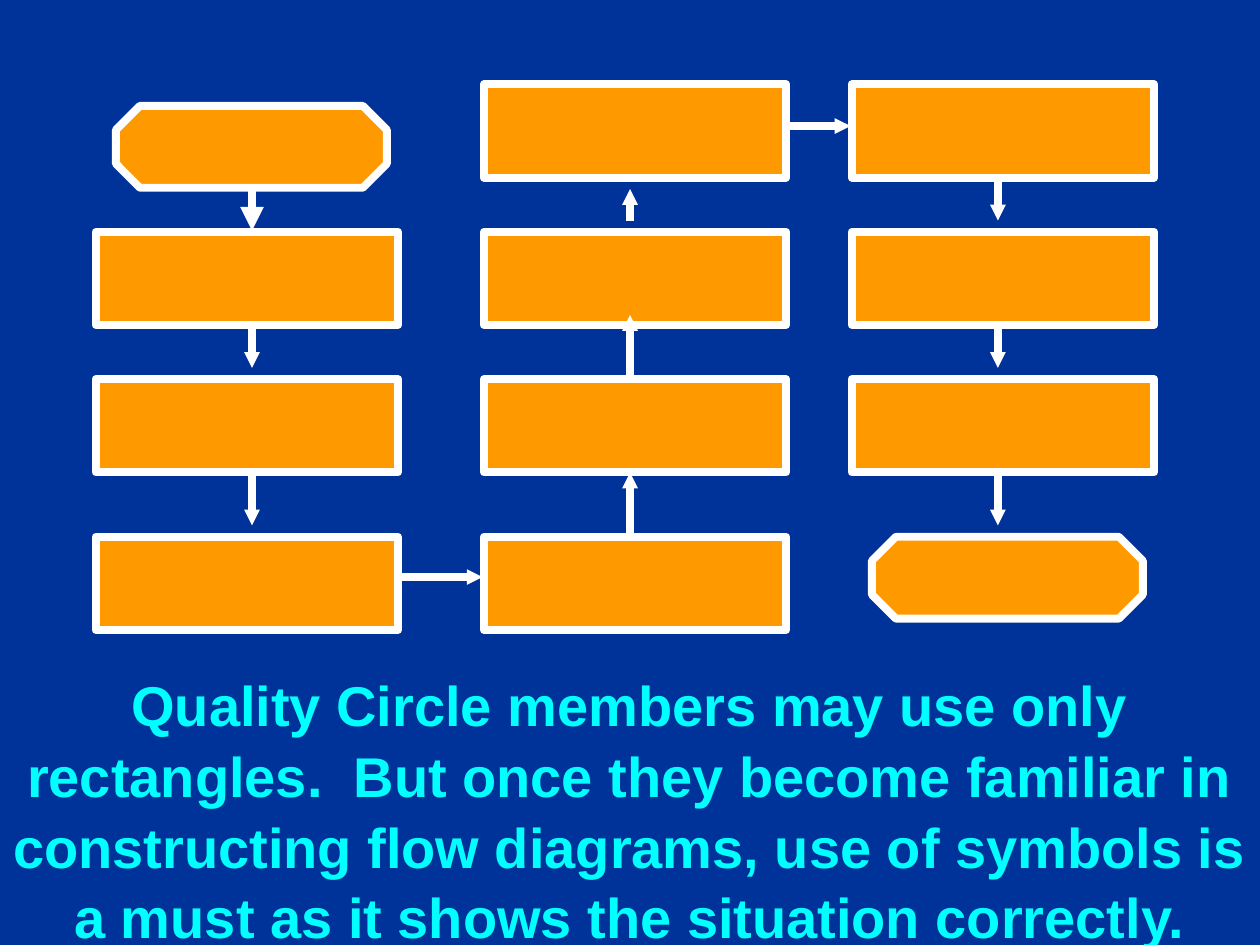
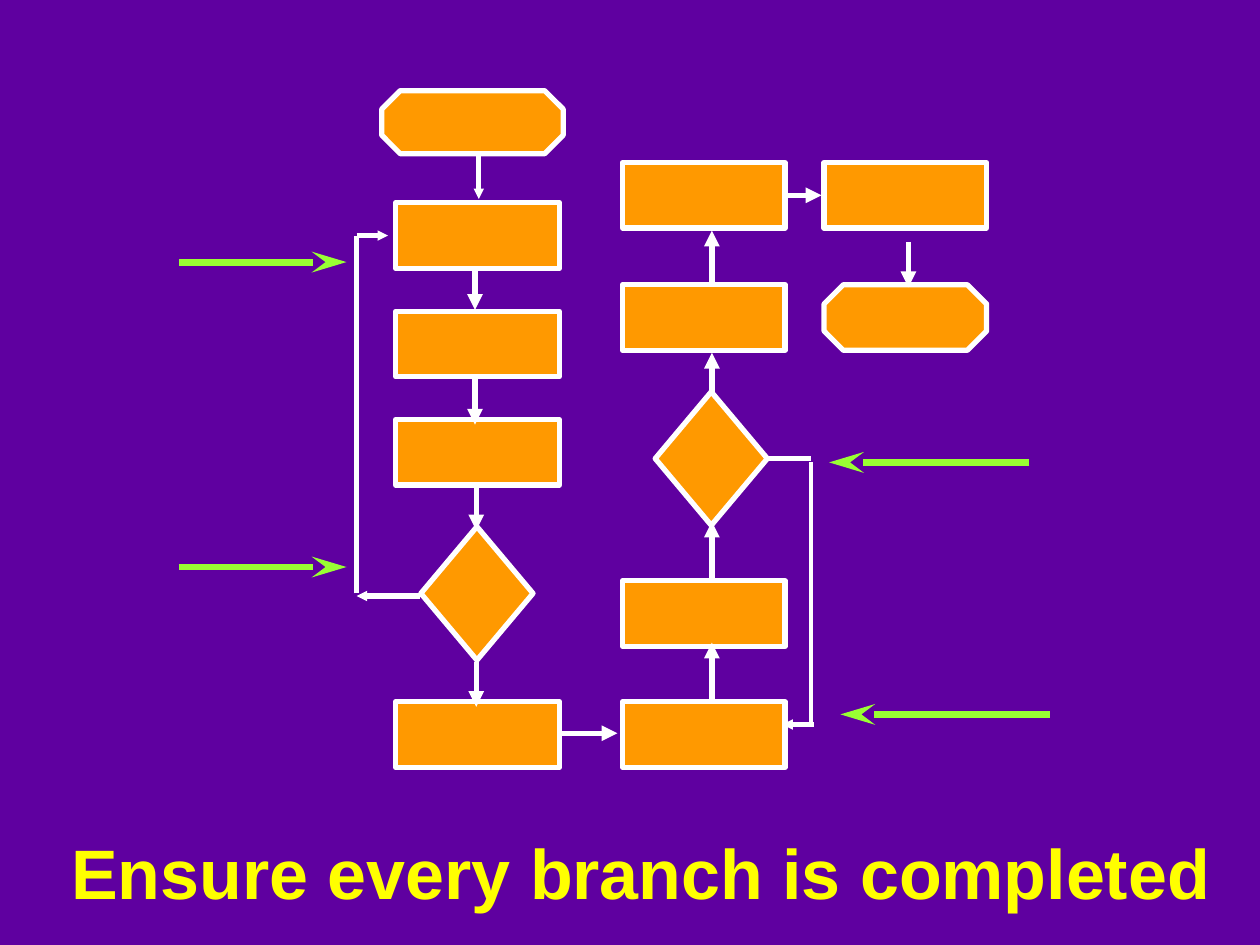
from lxml.etree import SubElement
from pptx import Presentation
from pptx.dml.color import RGBColor
from pptx.enum.shapes import MSO_CONNECTOR, MSO_SHAPE
from pptx.enum.text import PP_ALIGN
from pptx.oxml.ns import qn
from pptx.util import Inches, Pt

WHITE = "FFFFFF"
ORANGE = "FF9900"
LIME = "99FF33"


def rgb(value):
    return RGBColor.from_string(value)


def write_text(frame, text, *, size, color, font="Arial", bold=True,
               align=PP_ALIGN.CENTER, spacing=1.05):
    frame.word_wrap = True
    paragraph = frame.paragraphs[0]
    paragraph.alignment = align
    paragraph.line_spacing = spacing
    run = paragraph.add_run()
    run.text = text
    run.font.name = font
    run.font.size = Pt(size)
    run.font.bold = bold
    run.font.color.rgb = rgb(color)


class FlowChart:
    def __init__(self, deck, background, stroke):
        self.slide = deck.slides.add_slide(deck.slide_layouts[6])
        self.stroke = stroke
        fill = self.slide.background.fill
        fill.solid()
        fill.fore_color.rgb = rgb(background)

    def caption(self, text, left, top, width, height, **style):
        box = self.slide.shapes.add_textbox(
            Inches(left), Inches(top), Inches(width), Inches(height))
        write_text(box.text_frame, text, **style)

    def symbol(self, kind, left, top, width, height):
        shape = self.slide.shapes.add_shape(
            kind, Inches(left), Inches(top), Inches(width), Inches(height))
        shape.shadow.inherit = False
        shape.fill.solid()
        shape.fill.fore_color.rgb = rgb(ORANGE)
        shape.line.color.rgb = rgb(WHITE)
        shape.line.width = Pt(self.stroke)
        return shape

    def step(self, left, top, width, height):
        self.symbol(MSO_SHAPE.RECTANGLE, left, top, width, height)

    def decision(self, left, top):
        self.symbol(MSO_SHAPE.DIAMOND, left, top, 0.89, 1.06)

    def terminal(self, left, top, width, height):
        self.symbol(MSO_SHAPE.OCTAGON, left, top, width, height).adjustments[0] = 0.293

    def line(self, x1, y1, x2, y2, color=WHITE, stroke=None):
        connector = self.slide.shapes.add_connector(
            MSO_CONNECTOR.STRAIGHT, Inches(x1), Inches(y1), Inches(x2), Inches(y2))
        connector.line.color.rgb = rgb(color)
        connector.line.width = Pt(stroke or self.stroke)
        SubElement(connector._element.spPr, qn("a:effectLst"))
        return connector

    def arrow(self, x1, y1, x2, y2, head="triangle", width="med", length="med", **style):
        connector = self.line(x1, y1, x2, y2, **style)
        SubElement(connector.line._get_or_add_ln(), qn("a:tailEnd"),
                   type=head, w=width, len=length)

    def small_arrow(self, *ends):
        self.arrow(*ends, width="sm", length="sm")

    def pointer(self, *ends):
        self.arrow(*ends, head="stealth", length="lg", color=LIME, stroke=4)


def build_rectangles_slide(deck):
    chart = FlowChart(deck, "003399", stroke=4.5)
    chart.caption(
        "Quality Circle members may use only rectangles.  But once they become "
        "familiar in constructing flow diagrams, use of symbols is a must as it "
        "shows the situation correctly.",
        0, 5.25, 10, 2.24, size=32, color="00FFFF")

    rows = [0.67, 1.84, 3.01, 4.26]
    for left, tops in ((0.76, rows[1:]), (3.84, rows), (6.76, rows[:3])):
        for top in tops:
            chart.step(left, top, 2.4, 0.74)
    for left, top in ((0.92, 0.84), (6.92, 4.26)):
        chart.terminal(left, top, 2.15, 0.65)

    chart.arrow(2, 1.5, 2, 1.83)
    for x, start, end in (
        (2, 2.58, 2.92), (2, 3.75, 4.17),
        (5, 4.25, 3.75), (5, 3, 2.5), (5, 1.75, 1.5),
        (7.92, 1.42, 1.75), (7.92, 2.58, 2.92), (7.92, 3.75, 4.17),
    ):
        chart.small_arrow(x, start, x, end)
    chart.small_arrow(3.17, 4.58, 3.83, 4.58)
    chart.small_arrow(6.25, 1, 6.75, 1)


def build_branches_slide(deck):
    chart = FlowChart(deck, "5F00A0", stroke=3)
    chart.caption("Ensure every branch is completed", 0.42, 6.5, 9.33, 0.77,
                  size=40, color="FFFF00")
    for start, end, y in ((1.42, 2.75, 4.5), (8.17, 6.58, 3.67),
                          (1.42, 2.75, 2.08), (8.33, 6.67, 5.67)):
        chart.pointer(start, y, end, y)

    for x, start, end in ((5.65, 2.28, 1.83), (5.65, 3.26, 2.8), (3.77, 2.1, 2.46)):
        chart.arrow(x, start, x, end)
    chart.line(5.94, 3.64, 6.44, 3.64)

    for left, width, tops in (
        (3.14, 1.3, (1.61, 2.47, 3.33, 5.57)),
        (4.94, 1.29, (1.29, 2.26, 4.61, 5.57)),
        (6.54, 1.29, (1.29,)),
    ):
        for top in tops:
            chart.step(left, top, width, 0.52)
    chart.decision(5.2, 3.11)
    chart.decision(3.34, 4.18)
    chart.terminal(3.03, 0.72, 1.44, 0.5)
    chart.terminal(6.54, 2.26, 1.29, 0.52)

    for x, start, end in (
        (3.77, 3.01, 3.37), (3.78, 3.85, 4.21), (3.78, 5.25, 5.61),
        (5.65, 5.55, 5.1), (5.65, 4.59, 4.14), (7.21, 1.92, 2.28),
    ):
        chart.arrow(x, start, x, end)
    chart.arrow(4.46, 5.82, 4.9, 5.82)
    chart.arrow(6.21, 1.55, 6.52, 1.55)
    chart.small_arrow(3.8, 1.22, 3.8, 1.58)

    chart.small_arrow(3.33, 4.73, 2.83, 4.73)
    chart.line(2.83, 4.71, 2.83, 1.87)
    chart.small_arrow(2.83, 1.87, 3.08, 1.87)
    chart.line(6.44, 3.67, 6.44, 5.75, stroke=2.25)
    chart.small_arrow(6.46, 5.75, 6.21, 5.75)


def main():
    deck = Presentation()
    deck.slide_width = Inches(10)
    deck.slide_height = Inches(7.5)
    build_rectangles_slide(deck)
    build_branches_slide(deck)
    deck.save("out.pptx")


if __name__ == "__main__":
    main()
